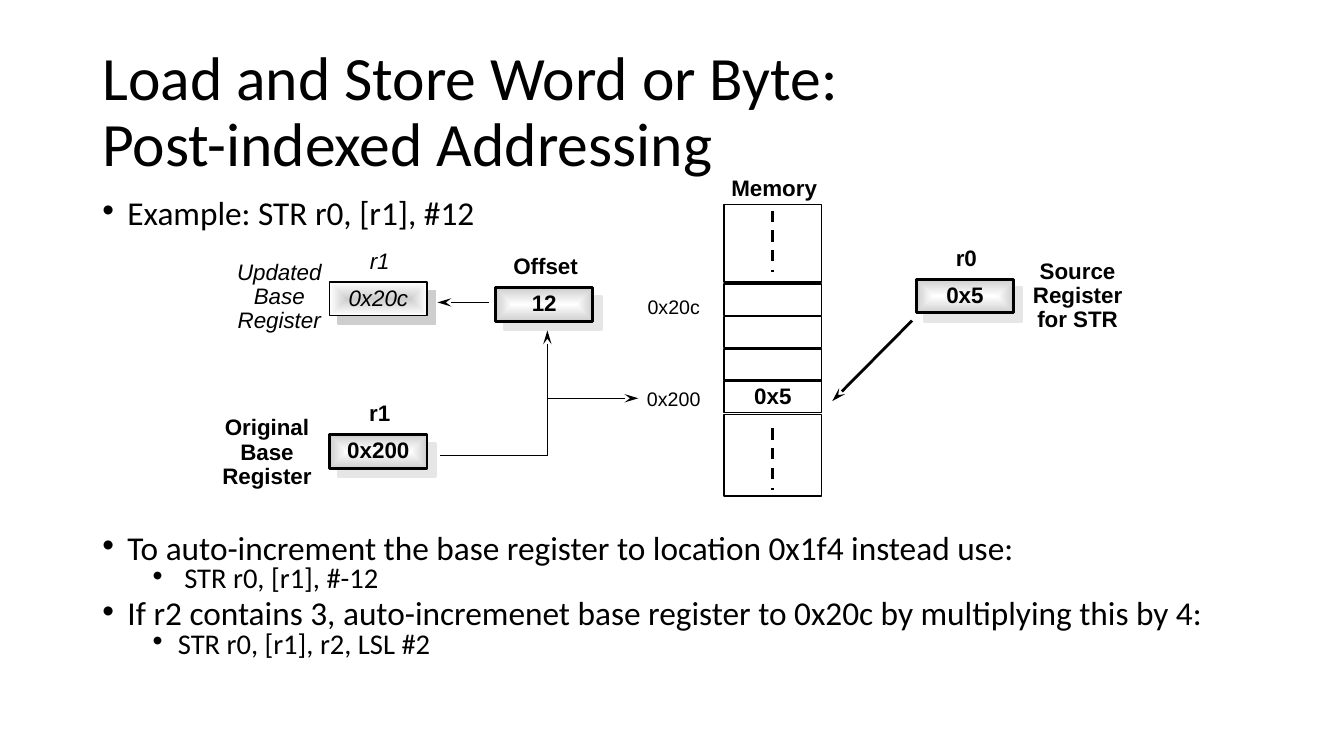
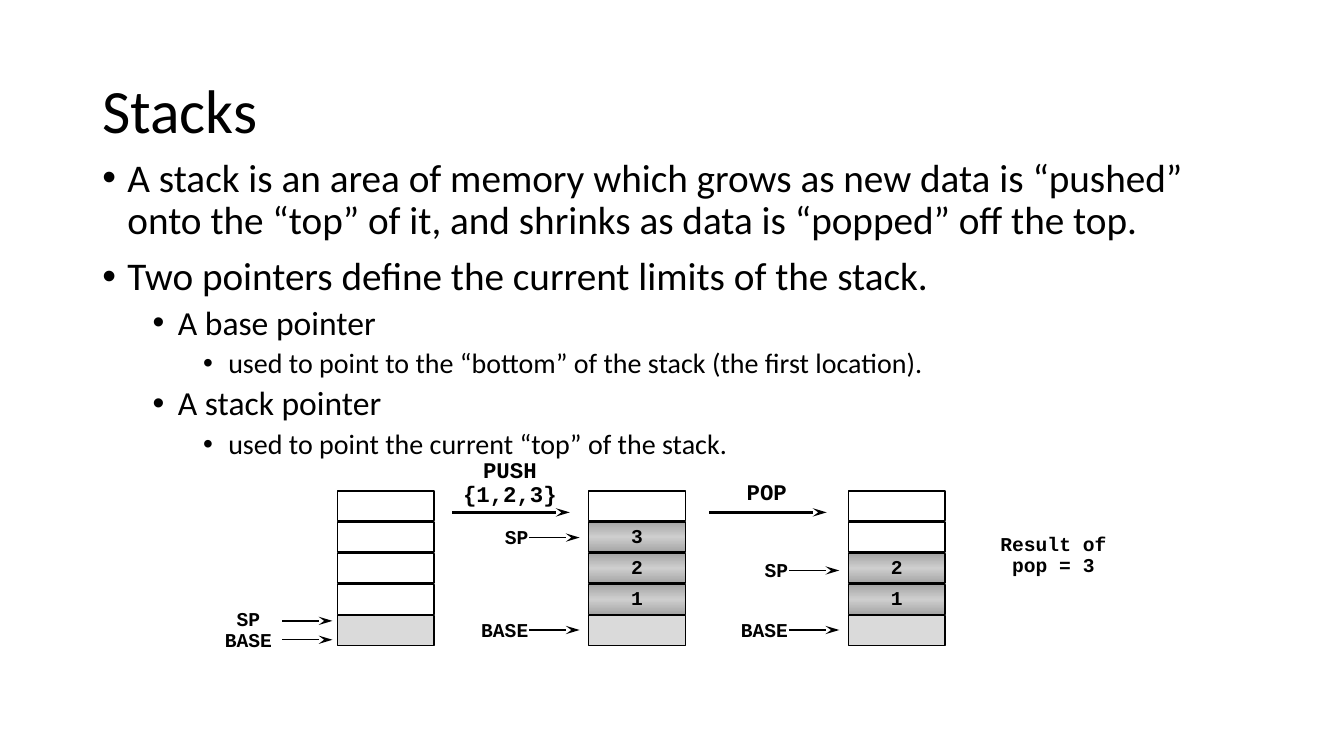
from lxml import etree
from pptx import Presentation
from pptx import util as u
from pptx.dml.color import RGBColor
from pptx.enum import dml, shapes, text
from pptx.oxml import parse_xml
from pptx.oxml.ns import qn, nsdecls

INK, SHADE, SHADOW, BASE_GREY, DATA_GREY = "000000", "CECECE", "E7E6E6", "DADADA", "A5A5A5"
WHITE = "FFFFFF"
BODY, DIAGRAM, CODE = "Calibri", "Arial", "Courier New"
GLOW = ([(0, WHITE), (100, SHADE)], True)
FADE = ([(0, SHADE), (100, WHITE)], True)
DATA = ([(0, DATA_GREY), (50, SHADE), (100, DATA_GREY)], False)
LEFT, CENTER, RIGHT = text.PP_ALIGN.LEFT, text.PP_ALIGN.CENTER, text.PP_ALIGN.RIGHT
TOP, MIDDLE = text.MSO_ANCHOR.TOP, text.MSO_ANCHOR.MIDDLE


def rgb(value):
    return RGBColor.from_string(value)


def pts(*values):
    return [u.Pt(v) for v in values]


class Deck:
    """Lecture style, with the slide being drawn."""

    def __init__(self):
        self.prs = Presentation()
        self.prs.slide_width, self.prs.slide_height = pts(960, 540)
        self.s = None

    def slide(self, title):
        self.s = self.prs.slides.add_slide(self.prs.slide_layouts[6])
        self.label(66, 28.8, 828, 104.4, title, 44, BODY, False, align=LEFT, anchor=MIDDLE)

    def add_text(self, p, content, size, font, bold=False, italic=False):
        for i, line in enumerate(content.split("\n")):
            if i:
                p.add_line_break()
            r = p.add_run()
            r.text = line
            r.font.size, r.font.name = u.Pt(size), font
            r.font.bold, r.font.italic = bold, italic
            r.font.color.rgb = rgb(INK)

    def frame(self, x, y, w, h, anchor=TOP):
        tf = self.s.shapes.add_textbox(*pts(x, y, w, h)).text_frame
        tf.word_wrap, tf.vertical_anchor = True, anchor
        return tf

    def label(self, x, y, w, h, content, size=16, font=DIAGRAM, bold=True,
              italic=False, align=CENTER, anchor=TOP):
        p = self.frame(x, y, w, h, anchor).paragraphs[0]
        p.alignment, p.line_spacing = align, 0.9
        self.add_text(p, content, size, font, bold, italic)

    def bullets(self, y, h, items, sizes, spacing=0.9):
        tf = self.frame(66, y, 828, h)
        for i, (level, content) in enumerate(items):
            p = tf.add_paragraph() if i else tf.paragraphs[0]
            p.level, p.line_spacing = level, spacing
            p.space_before = u.Pt(5 if level else 10)
            self.add_text(p, content, sizes[level], BODY)
            pPr = p._p.get_or_add_pPr()
            pPr.set("marL", str(u.Pt(18 + 36 * level)))
            pPr.set("indent", str(u.Pt(-18)))
            etree.SubElement(pPr, qn("a:buFont")).set("typeface", "Arial")
            etree.SubElement(pPr, qn("a:buChar")).set("char", "•")

    def box(self, x, y, w, h, content="", fill=None, line=1, size=16,
            font=DIAGRAM, bold=True, italic=False, shadow=None):
        sp = self.s.shapes.add_shape(shapes.MSO_SHAPE.RECTANGLE, *pts(x, y, w, h))
        sp.line.color.rgb, sp.line.width = rgb(INK), u.Pt(line)
        sp.shadow.inherit = False
        if isinstance(fill, str):
            sp.fill.solid()
            sp.fill.fore_color.rgb = rgb(fill)
        else:
            sp.fill.background()
            if fill:
                self.gradient(sp, *fill)
        if shadow:
            self.drop_shadow(sp, shadow)
        if content:
            tf = sp.text_frame
            tf.margin_left = tf.margin_right = tf.margin_top = tf.margin_bottom = 0
            tf.vertical_anchor = MIDDLE
            p = tf.paragraphs[0]
            p.alignment, p.line_spacing = CENTER, 0.9
            self.add_text(p, content, size, font, bold, italic)

    def gradient(self, sp, stops, radial):
        gs = "".join(f'<a:gs pos="{pos * 1000}"><a:srgbClr val="{c}"/></a:gs>' for pos, c in stops)
        shade = ('<a:path path="shape"><a:fillToRect l="50000" t="50000" r="50000" b="50000"/></a:path>'
                 if radial else '<a:lin ang="5400000" scaled="1"/>')
        spPr = sp.element.spPr
        spPr.replace(spPr.find(qn("a:noFill")), parse_xml(
            f'<a:gradFill {nsdecls("a")} rotWithShape="1"><a:gsLst>{gs}</a:gsLst>{shade}</a:gradFill>'))

    def drop_shadow(self, sp, color):
        sp.element.spPr.find(qn("a:effectLst")).append(parse_xml(
            f'<a:outerShdw {nsdecls("a")} blurRad="0" dist="{u.Pt(8.5)}" dir="2700000" '
            f'algn="ctr" rotWithShape="0"><a:srgbClr val="{color}"/></a:outerShdw>'))

    def line(self, x1, y1, x2, y2, width=1, arrow=True, dashed=False):
        c = self.s.shapes.add_connector(shapes.MSO_CONNECTOR.STRAIGHT, *pts(x1, y1, x2, y2))
        c.line.color.rgb, c.line.width = rgb(INK), u.Pt(width)
        if dashed:
            c.line.dash_style = dml.MSO_LINE.DASH
        spPr = c.element.spPr
        if arrow:
            tail = etree.SubElement(spPr.find(qn("a:ln")), qn("a:tailEnd"))
            for key, value in (("type", "stealth"), ("w", "med"), ("len", "lg")):
                tail.set(key, value)
        etree.SubElement(spPr, qn("a:effectLst"))

    def register(self, x, y, name, value, updated=False):
        self.box(x, y, 69.5, 24, value, FADE if updated else GLOW, 1 if updated else 2,
                 bold=not updated, italic=updated, shadow=SHADE if updated else SHADOW)
        self.label(x - 6, y - 26.5, 83.5, 24.5, name, bold=not updated, italic=updated)

    def stack(self, x, cells):
        for i, value in enumerate(cells):
            fill = BASE_GREY if i == len(cells) - 1 else DATA if value else None
            self.box(x, 350.6 + 22.3 * i, 69, 21.3, value, fill, size=14, font=CODE)

    def pointer(self, stack_x, y, name):
        self.label(stack_x - 90, y - 10.5, 54, 22.5, name, 14, CODE, align=RIGHT)
        self.line(stack_x - 42.5, y, stack_x - 6.5, y)

    def operation(self, x, y, h, name):
        self.label(x, y, 94.5, h, name, 16, CODE)
        self.line(x + 6, 366, x + 90, 366, 2)


def post_indexed(d):
    d.slide("Load and Store Word or Byte:\nPost-indexed Addressing")
    sizes = (23.8, 20.4)
    d.bullets(144, 30, [(0, "Example: STR r0, [r1], #12")], sizes, 0.6)
    d.bullets(383, 100, [
        (0, "To auto-increment the base register to location 0x1f4 instead use:"),
        (1, " STR r0, [r1], #-12"),
        (0, "If r2 contains 3, auto-incremenet base register to 0x20c by multiplying this by 4:"),
        (1, "STR r0, [r1], r2, LSL #2")], sizes, 0.6)

    d.register(235.5, 310.5, "r1", "0x200")
    d.register(235.5, 201.5, "r1", "0x20c", updated=True)
    d.register(354, 205.5, "Offset", "12")
    d.register(654.5, 199.5, "r0", "0x5")
    d.label(149, 294, 83.5, 59, "Original\nBase\nRegister")
    d.label(148.5, 183, 102, 59, "Updated\nBase\nRegister", bold=False, italic=True)
    d.label(728, 182, 83.5, 59, "Source\nRegister\nfor STR")

    d.label(511, 123, 84, 24.5, "Memory")
    d.box(517, 146, 70, 55.5)
    for i, value in enumerate(("", "", "", "0x5")):
        d.box(517, 203 + 23.1 * i, 70, 22.4, value)
    d.box(517, 296, 70, 58.3)
    for y in (150.5, 306):
        d.line(552, y, 552, y + 44, 2, arrow=False, dashed=True)
    for y, address in ((209, "0x20c"), (275, "0x200")):
        d.label(446, y, 70.5, 22.5, address, 14, bold=False)

    d.line(391, 325.5, 314.5, 325.5, arrow=False)
    d.line(391, 325.5, 391, 236)
    d.line(391, 284.5, 456, 284.5)
    d.line(349, 216, 312.5, 216)
    d.line(651.5, 229, 594.5, 286.5, 2)


def stacks(d):
    d.slide("Stacks")
    d.bullets(109.5, 418, [
        (0, "A stack is an area of memory which grows as new data is “pushed” "
            "onto the “top” of it, and shrinks as data is “popped” off the top."),
        (0, "Two pointers define the current limits of the stack."),
        (1, "A base pointer"),
        (2, "used to point to the “bottom” of the stack (the first location)."),
        (1, "A stack pointer"),
        (2, "used to point the current “top” of the stack.")], (28, 24, 20))

    empty, pushed, popped = 241, 420.5, 606
    d.stack(empty, ("", "", "", "", ""))
    d.stack(pushed, ("", "3", "2", "1", ""))
    d.stack(popped, ("", "", "2", "1", ""))
    d.label(150.5, 432, 54, 37.5, "SP\nBASE", 14, CODE)
    for y in (443.5, 457):
        d.line(empty - 39.5, y, empty - 3.5, y)
    for x, sp_y in ((pushed, 384), (popped, 407.5)):
        d.pointer(x, sp_y, "SP")
        d.pointer(x, 450, "BASE")
    d.operation(317, 324.5, 42, "PUSH {1,2,3}")
    d.operation(500.5, 340.5, 24.5, "POP")
    d.label(695.5, 378, 114, 37.5, "Result of pop = 3", 14, CODE)


def main():
    d = Deck()
    post_indexed(d)
    stacks(d)
    d.prs.save("out.pptx")


if __name__ == "__main__":
    main()
